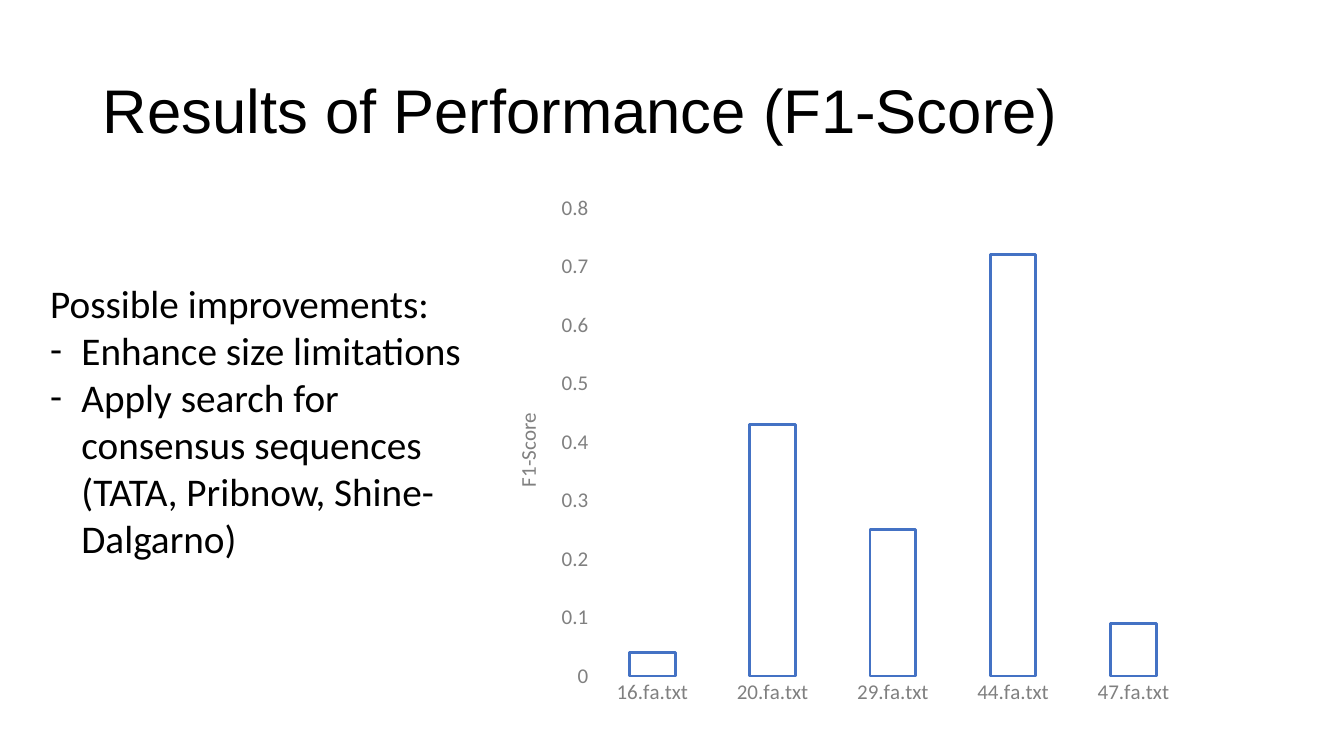
from pptx import Presentation
from pptx.chart.data import CategoryChartData as ChartData
from pptx.dml.color import RGBColor as RGB
from pptx.enum.chart import XL_CHART_TYPE as Kind, XL_TICK_MARK as Tick
from pptx.enum.text import MSO_ANCHOR as Anchor
from pptx.oxml import parse_xml
from pptx.oxml.ns import nsdecls, qn
from pptx.util import Inches, Pt

COLORS = {"ink": "000000", "grey": "808080", "blue": "4472C4"}
SCORES = {"16.fa.txt": 0.04, "20.fa.txt": 0.43, "29.fa.txt": 0.25,
          "44.fa.txt": 0.72, "47.fa.txt": 0.09}
IDEAS = ["Enhance size limitations",
         "Apply search for consensus sequences (TATA, Pribnow, Shine-Dalgarno)"]


def style(font, size, color="ink", face="Calibri"):
    """Set size, colour and face of a font."""
    font.size, font.name, font.bold = Pt(size), face, False
    font.color.rgb = RGB.from_string(COLORS[color])


def write(par, text, size=28, color="ink", face="Calibri", dash=False):
    """Fill a paragraph with formatted text, with a dash bullet if asked."""
    run = par.add_run()
    run.text = text
    style(run.font, size, color, face)
    if dash:
        props = par._p.get_or_add_pPr()
        props.set("marL", str(Inches(0.31)))
        props.set("indent", str(-Inches(0.31)))
        props.append(parse_xml(f'<a:buFont {nsdecls("a")} typeface="Calibri"/>'))
        props.append(parse_xml(f'<a:buChar {nsdecls("a")} char="-"/>'))


def add_frame(slide, box):
    """Add a wrapping text box and return its frame."""
    frame = slide.shapes.add_textbox(*map(Inches, box)).text_frame
    frame.word_wrap = True
    return frame


def add_title(slide, box):
    """Place the slide title, centred vertically in its box."""
    frame = add_frame(slide, box)
    frame.vertical_anchor = Anchor.MIDDLE
    par = frame.paragraphs[0]
    par.line_spacing = 0.9
    write(par, "Results of Performance (F1-Score)", size=44, face="Arial")


def add_notes(slide, box):
    """Place the list of possible improvements."""
    frame = add_frame(slide, box)
    write(frame.paragraphs[0], "Possible improvements:")
    for idea in IDEAS:
        write(frame.add_paragraph(), idea, dash=True)


def set_plot(chart, **parts):
    """Fix the inner plot area as fractions of the chart."""
    area = chart._chartSpace.chart.plotArea
    for old in area.findall(qn("c:layout")):
        area.remove(old)
    marks = "".join(f'<c:{key} val="{val}"/>' for key, val in parts.items())
    area.insert(0, parse_xml(
        f'<c:layout {nsdecls("c")}><c:manualLayout>'
        '<c:layoutTarget val="inner"/><c:xMode val="edge"/><c:yMode val="edge"/>'
        f'{marks}</c:manualLayout></c:layout>'))


def add_scores(slide, box):
    """Place the column chart of scores per file."""
    data = ChartData()
    data.categories = list(SCORES)
    data.add_series("Series 1", SCORES.values())
    chart = slide.shapes.add_chart(
        Kind.COLUMN_CLUSTERED, *map(Inches, box), data).chart
    chart.has_legend = chart.has_title = False
    style(chart.font, 15)
    plot = chart.plots[0]
    plot.gap_width, plot.overlap, plot.vary_by_categories = 164, -35, False
    bars = plot.series[0].format
    bars.fill.background()
    bars.line.color.rgb = RGB.from_string(COLORS["blue"])
    bars.line.width = Pt(2)
    for axis in (chart.category_axis, chart.value_axis):
        axis.has_major_gridlines = False
        axis.major_tick_mark = axis.minor_tick_mark = Tick.NONE
        axis.format.line.fill.background()
        style(axis.tick_labels.font, 15, "grey")
    axis = chart.value_axis
    axis.minimum_scale, axis.maximum_scale, axis.major_unit = 0, 0.8, 0.1
    write(axis.axis_title.text_frame.paragraphs[0], "F1-Score", size=15, color="grey")
    set_plot(chart, x=0.14, y=0.04, w=0.84, h=0.88)


def main():
    """Build and save the slide."""
    deck = Presentation()
    deck.slide_width, deck.slide_height = Inches(13.33), Inches(7.5)
    slide = deck.slides.add_slide(deck.slide_layouts[6])
    add_title(slide, (0.92, 0.4, 11.5, 1.45))
    add_scores(slide, (4.88, 1.85, 7.1, 5.28))
    add_notes(slide, (0.4, 2.72, 4.47, 3.53))
    deck.save("out.pptx")


if __name__ == "__main__":
    main()
